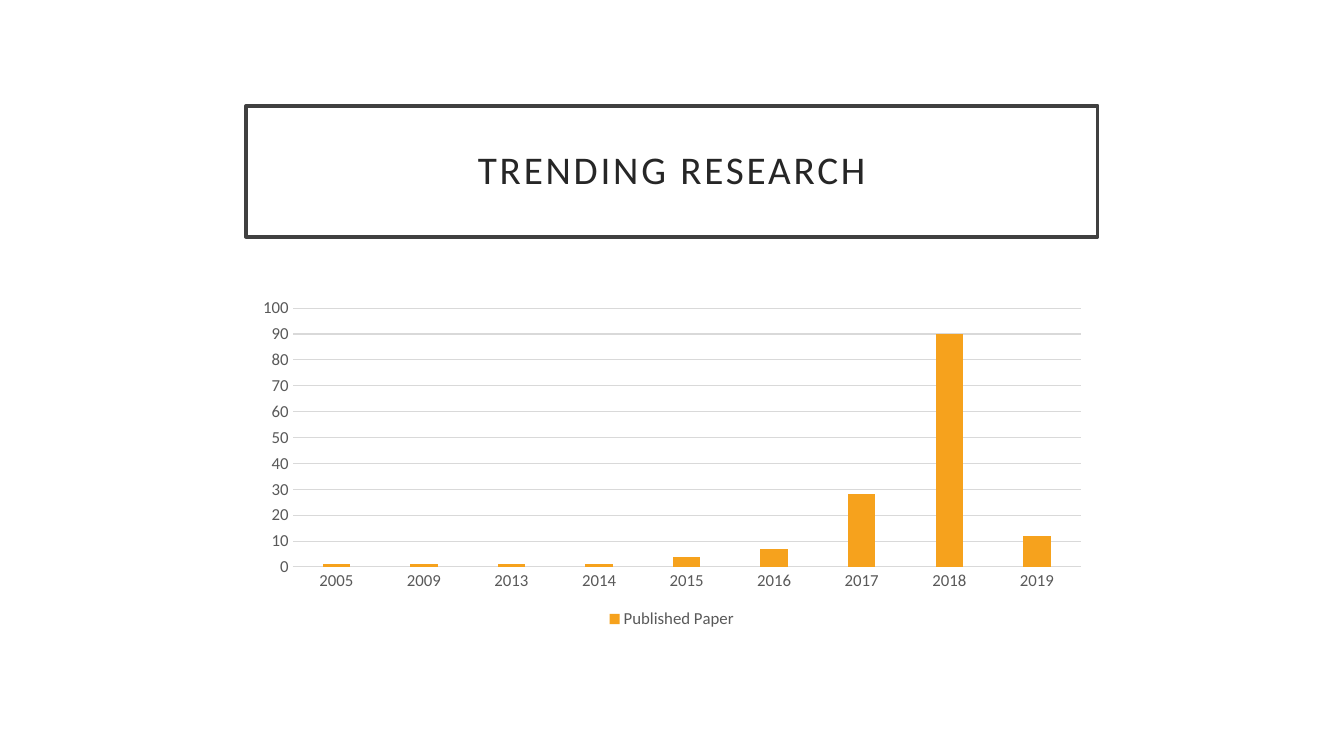
"""Build a slide with a framed title and a column chart of papers per year."""
import pptx
import pptx.chart.data
import pptx.dml.color
import pptx.enum.chart
import pptx.enum.shapes
import pptx.enum.text
import pptx.util

Pt = pptx.util.Pt
PAPERS = {
    "2005": 1, "2009": 1, "2013": 1, "2014": 1, "2015": 4,
    "2016": 7, "2017": 28, "2018": 90, "2019": 12,
}


def color(code):
    return pptx.dml.color.RGBColor.from_string(code)


class Slide:
    font = "Calibri"
    ink = "262626"
    frame = "404040"
    label = "595959"
    grid = "D9D9D9"
    accent = "F6A21D"
    paper = "FFFFFF"

    def __init__(self, deck):
        self.page = deck.slides.add_slide(deck.slide_layouts[6])
        self.page.background.fill.solid()
        self.page.background.fill.fore_color.rgb = color(self.paper)

    def style_font(self, font, size, code):
        font.name = self.font
        font.size = Pt(size)
        font.color.rgb = color(code)

    def style_line(self, line, width, code):
        line.width = Pt(width)
        line.color.rgb = color(code)

    def title(self, text, left, top, width, height):
        box = self.page.shapes.add_shape(
            pptx.enum.shapes.MSO_SHAPE.RECTANGLE,
            Pt(left), Pt(top), Pt(width), Pt(height))
        box.shadow.inherit = False
        box.fill.solid()
        box.fill.fore_color.rgb = color(self.paper)
        self.style_line(box.line, 2.5, self.frame)
        frame = box.text_frame
        frame.word_wrap = True
        frame.vertical_anchor = pptx.enum.text.MSO_ANCHOR.MIDDLE
        frame.margin_left = frame.margin_right = Pt(14.4)
        frame.margin_top = frame.margin_bottom = Pt(14.4)
        frame.text = text
        para = frame.paragraphs[0]
        para.alignment = pptx.enum.text.PP_ALIGN.CENTER
        para.line_spacing = 0.9
        span = para.runs[0]
        self.style_font(span.font, 28, self.ink)
        span._r.get_or_add_rPr().set("spc", "200")

    def columns(self, name, values, left, top, width, height):
        data = pptx.chart.data.CategoryChartData()
        data.categories = list(values)
        data.add_series(name, list(values.values()))
        chart = self.page.shapes.add_chart(
            pptx.enum.chart.XL_CHART_TYPE.COLUMN_CLUSTERED,
            Pt(left), Pt(top), Pt(width), Pt(height), data).chart
        self.style_font(chart.font, 12, self.label)
        chart.has_title = False
        chart.has_legend = True
        chart.legend.position = pptx.enum.chart.XL_LEGEND_POSITION.BOTTOM
        chart.legend.include_in_layout = False
        self.style_font(chart.legend.font, 12, self.label)
        plot = chart.plots[0]
        plot.vary_by_categories = False
        plot.gap_width = 219
        plot.overlap = -27
        fill = plot.series[0].format.fill
        fill.solid()
        fill.fore_color.rgb = color(self.accent)
        for axis in (chart.category_axis, chart.value_axis):
            axis.major_tick_mark = pptx.enum.chart.XL_TICK_MARK.NONE
            axis.minor_tick_mark = pptx.enum.chart.XL_TICK_MARK.NONE
            self.style_font(axis.tick_labels.font, 12, self.label)
        self.style_line(chart.category_axis.format.line, 0.75, self.grid)
        scale = chart.value_axis
        scale.minimum_scale, scale.maximum_scale, scale.major_unit = 0, 100, 10
        scale.format.line.fill.background()
        scale.has_major_gridlines = True
        self.style_line(scale.major_gridlines.format.line, 0.75, self.grid)


def main():
    deck = pptx.Presentation()
    deck.slide_width, deck.slide_height = Pt(960), Pt(540)
    slide = Slide(deck)
    left, width = 175.68, 608.4
    slide.title("TRENDING RESEARCH", left, 75.6, width, 93.6)
    slide.columns("Published Paper", PAPERS, left, 208.08, width, 244.08)
    deck.save("out.pptx")


if __name__ == "__main__":
    main()
